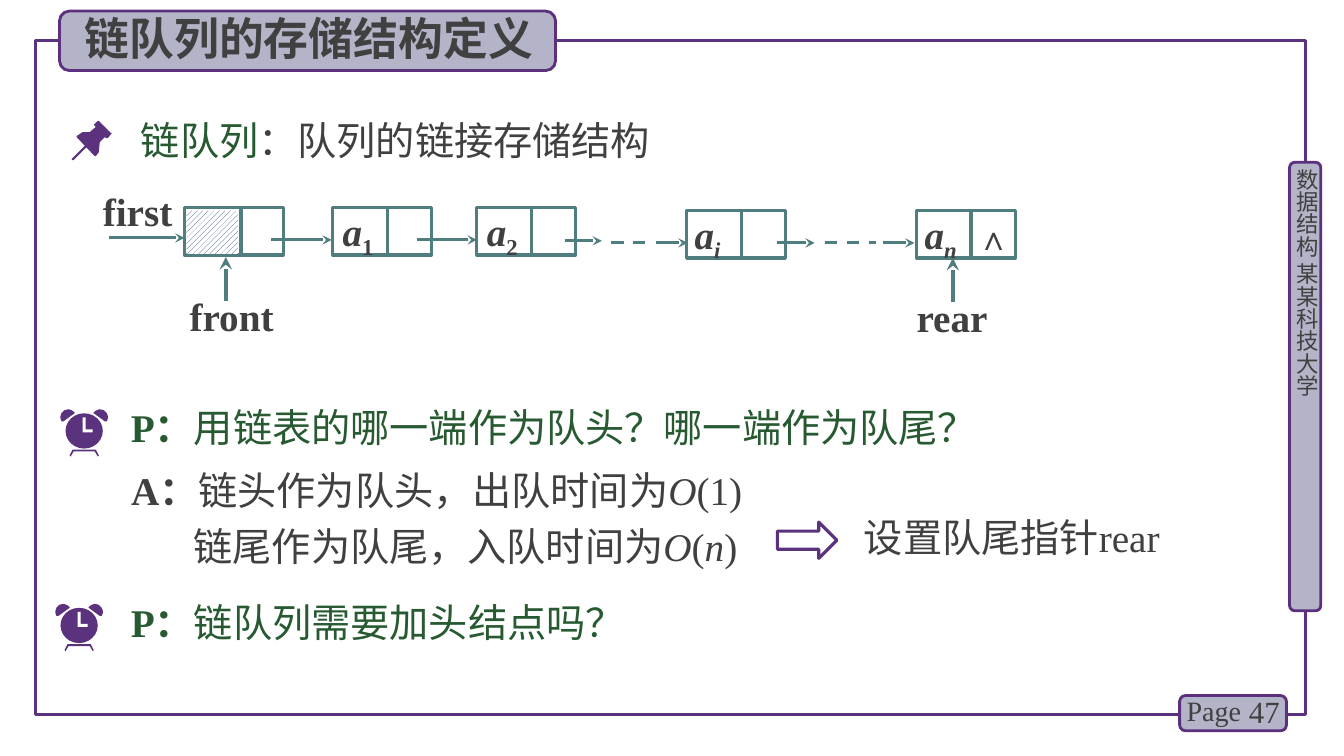
from dataclasses import dataclass

from lxml import etree
from pptx import Presentation
from pptx.dml.color import RGBColor
from pptx.enum.dml import MSO_LINE, MSO_PATTERN
from pptx.enum.shapes import MSO_CONNECTOR, MSO_SHAPE
from pptx.enum.text import MSO_ANCHOR, MSO_AUTO_SIZE, PP_ALIGN
from pptx.oxml.ns import qn
from pptx.util import Pt

SCALE = 9144
RECTANGLE, ROUNDED = MSO_SHAPE.RECTANGLE, MSO_SHAPE.ROUNDED_RECTANGLE
OVAL, RIGHT_ARROW = MSO_SHAPE.OVAL, MSO_SHAPE.RIGHT_ARROW
STRAIGHT, DASH = MSO_CONNECTOR.STRAIGHT, MSO_LINE.DASH
HATCH = MSO_PATTERN.WIDE_UPWARD_DIAGONAL
LEFT, CENTER, RIGHT = PP_ALIGN.LEFT, PP_ALIGN.CENTER, PP_ALIGN.RIGHT
TOP, MIDDLE, NO_FIT = MSO_ANCHOR.TOP, MSO_ANCHOR.MIDDLE, MSO_AUTO_SIZE.NONE


@dataclass(frozen=True)
class Theme:
    ink: str = "404040"
    green: str = "285A32"
    purple: str = "5A327D"
    badge_line: str = "5C307D"
    badge: str = "B4B4C8"
    teal: str = "507D7D"
    navy: str = "1F497D"
    white: str = "FFFFFF"
    latin: str = "Times New Roman"
    chinese: str = "Noto Sans CJK SC"
    title: int = 32
    body: int = 28
    symbol: int = 24
    number: int = 22
    label: int = 20
    side: int = 16


THEME = Theme()
INSETS = (10, 5, 10, 5)


def px(*lengths):
    return [length * SCALE for length in lengths]


def rgb(color):
    return RGBColor.from_string(color)


def span(text, *, size=THEME.body, color=THEME.ink, font=THEME.latin, bold=False, italic=False, base=0):
    return dict(text=text, size=size, color=color, font=font, bold=bold, italic=italic, base=base)


class Slide:
    def __init__(self, deck, theme):
        self.theme = theme
        self.page = deck.slides.add_slide(deck.slide_layouts[1])
        self.shapes = self.page.shapes

    def paint(self, shape, fill=None, line=None, width=2.25):
        shape.shadow.inherit = False
        if fill:
            shape.fill.solid()
            shape.fill.fore_color.rgb = rgb(fill)
        else:
            shape.fill.background()
        if line:
            shape.line.color.rgb = rgb(line)
            shape.line.width = Pt(width)
        else:
            shape.line.fill.background()
        return shape

    def shape(self, kind, at, **style):
        return self.paint(self.shapes.add_shape(kind, *px(*at)), **style)

    def badge(self, *at):
        return self.shape(ROUNDED, at, fill=self.theme.badge, line=self.theme.badge_line, width=2)

    def outline(self, points, fill, origin=(0, 0)):
        moved = [(x + origin[0], y + origin[1]) for x, y in points]
        builder = self.shapes.build_freeform(*moved[0], scale=SCALE)
        builder.add_line_segments(moved[1:], close=True)
        return self.paint(builder.convert_to_shape(), fill=fill)

    def line(self, x1, y1, x2, y2, width=2.25, arrow=False, dash=False):
        connector = self.shapes.add_connector(STRAIGHT, *px(x1, y1, x2, y2))
        connector.line.color.rgb = rgb(self.theme.teal)
        connector.line.width = Pt(width)
        if dash:
            connector.line.dash_style = DASH
        properties = connector._element.spPr
        if arrow:
            etree.SubElement(properties.get_or_add_ln(), qn("a:tailEnd"), type="stealth")
        etree.SubElement(properties, qn("a:effectLst"))

    def set_text(self, box, paras, align=LEFT, anchor=TOP, insets=INSETS, spacing=None, wrap=True):
        frame = box.text_frame
        frame.auto_size, frame.word_wrap, frame.vertical_anchor = NO_FIT, wrap, anchor
        frame.margin_left, frame.margin_top, frame.margin_right, frame.margin_bottom = px(*insets)
        for index, spans in enumerate(paras):
            para = frame.add_paragraph() if index else frame.paragraphs[0]
            para.alignment, para.space_before = align, Pt(0)
            if spacing:
                para.line_spacing = spacing
            for part in spans:
                run = para.add_run()
                run.text = part["text"]
                run.font.size, run.font.name = Pt(part["size"]), part["font"]
                run.font.bold, run.font.italic = part["bold"], part["italic"]
                run.font.color.rgb = rgb(part["color"])
                properties = run._r.get_or_add_rPr()
                if part["base"]:
                    properties.set("baseline", str(part["base"] * 1000))
                etree.SubElement(properties, qn("a:ea"), typeface=self.theme.chinese)
        return box

    def text(self, at, *spans, **layout):
        return self.set_text(self.shapes.add_textbox(*px(*at)), [spans], **layout)

    def placeholder(self, index, at, paras, **layout):
        box = self.page.placeholders[index]
        box.left, box.top, box.width, box.height = px(*at)
        box._element.getparent().append(box._element)
        return self.set_text(box, paras, **layout)

    def node(self, left, top, *spans, inset=10, divider=54):
        box = self.shape(RECTANGLE, (left, top, 98, 47), line=self.theme.teal)
        if spans:
            self.set_text(box, [spans], insets=(inset, 0, 0, 8), spacing=0.9)
        self.line(left + divider, top, left + divider, top + 47)

    def pointer(self, x, top, left, name):
        self.text((left, top, 85, 35), span(name, bold=True), insets=(0, 0, 0, 0), spacing=0.8)
        self.line(x, top, x, top - 44, width=3, arrow=True)

    def clock(self, left, top):
        ear = [(8, 0), (4, 1), (1, 4), (0, 7), (0, 9), (1, 12), (3, 12), (14, 4), (14, 3), (11, 1)]
        stand = [(37, 47), (38, 46), (35, 40), (12, 40), (9, 46), (10, 47), (13, 42), (34, 42)]
        hand = [(22, 8), (25, 8), (25, 20), (32, 20), (32, 23), (22, 23)]
        for points in (stand, ear, [(47 - x, y) for x, y in ear]):
            self.outline(points, self.theme.purple, (left, top))
        self.shape(OVAL, (left + 5, top + 4, 37, 35), fill=self.theme.purple)
        self.outline(hand, self.theme.white, (left, top))

    def question(self, top, width, text):
        self.text((120, top, width, 57), span("P：", color=self.theme.green, bold=True),
                  span(text, color=self.theme.green, font=self.theme.chinese))


def draw_frame(slide):
    slide.shape(RECTANGLE, (35, 40, 1260, 669), line=THEME.purple)
    slide.badge(1279, 161, 31, 445)
    side = slide.text((1283, 167, 27, 449), span("数据结构 某某科技大学", size=THEME.side, font=THEME.chinese),
                      insets=(0, 0, 0, 0))
    side.text_frame._txBody.bodyPr.set("vert", "eaVert")
    slide.badge(1170, 690, 106, 35)
    slide.text((1220, 686, 59, 40), span("47", size=THEME.number), align=RIGHT, anchor=MIDDLE)
    slide.text((1167, 683, 78, 44), span("Page", size=THEME.label))
    slide.badge(59, 11, 492, 59)
    slide.placeholder(0, (73, 5, 467, 64),
                      [[span("链队列的存储结构定义", size=THEME.title, font=THEME.chinese, bold=True)]],
                      align=CENTER, anchor=MIDDLE)


def draw_definition(slide):
    slide.outline([(110, 132), (98, 120), (97, 120), (93, 124), (95, 126), (89, 131), (82, 131),
                   (76, 135), (76, 136), (94, 155), (95, 155), (98, 151), (99, 141), (104, 136),
                   (105, 137), (107, 137), (111, 132)], THEME.purple)
    slide.outline([(73, 159), (72, 159), (71, 158), (85, 144), (86, 143), (87, 145)], THEME.purple)
    slide.text((130, 110, 617, 57), span("链队列", color=THEME.green, font=THEME.chinese),
               span("：队列的链接存储结构", font=THEME.chinese))


def draw_queue(slide):
    slide.node(183, 206, divider=56)
    hatched = slide.shape(RECTANGLE, (185, 209, 51, 43))
    hatched.fill.patterned()
    hatched.fill.pattern = HATCH
    hatched.fill.fore_color.rgb, hatched.fill.back_color.rgb = rgb(THEME.navy), rgb(THEME.white)
    for left, top, inset, index in ((330, 206, 10, "1"), (473, 206, 10, "2"), (681, 209, 8, "i"), (909, 209, 8, "n")):
        slide.node(left, top, span("a", bold=True, italic=True),
                   span(index, bold=True, italic=index.isalpha(), base=-25), inset=inset)
    slide.text((959, 210, 49, 50), span("∧", size=THEME.symbol, bold=True))
    slide.text((102, 186, 83, 51), span("first", bold=True), insets=(0, 0, 0, 4), wrap=False)
    for start, end, y in ((108, 183, 236), (269, 329, 238), (414, 473, 238), (560, 597, 239),
                          (651, 682, 241), (771, 808, 241), (876, 907, 241)):
        slide.line(start, y, end, y, arrow=True)
    for start, end in ((606, 642), (818, 869)):
        slide.line(start, 241, end, 241, dash=True)
    slide.pointer(224, 299, 188, "front")
    slide.pointer(945, 300, 909, "rear")


def draw_questions(slide):
    slide.clock(60, 406)
    slide.question(395, 1050, "用链表的哪一端作为队头？哪一端作为队尾？")
    answer = slide.placeholder(1, (120, 449, 1097, 122), [
        [span("A：", bold=True), span("链头作为队头，出队时间为"), span("O", italic=True), span("(1)")],
        [span("链尾作为队尾，入队时间为"), span("O", italic=True), span("("), span("n", italic=True), span(")")],
    ], spacing=Pt(40))
    for para, indent in zip(answer.text_frame.paragraphs, (0, 62)):
        properties = para._p.get_or_add_pPr()
        properties.set("marL", str(indent * SCALE))
        properties.set("indent", "0")
        etree.SubElement(properties, qn("a:buNone"))
    slide.shape(RIGHT_ARROW, (771, 518, 59, 36), line=THEME.purple)
    slide.text((847, 504, 356, 57), span("设置队尾指针rear"))
    slide.clock(55, 599)
    slide.question(589, 627, "链队列需要加头结点吗？")


def main():
    deck = Presentation()
    deck.slide_width, deck.slide_height = px(1333, 750)
    slide = Slide(deck, THEME)
    for draw in (draw_frame, draw_definition, draw_queue, draw_questions):
        draw(slide)
    deck.save("out.pptx")


if __name__ == "__main__":
    main()
